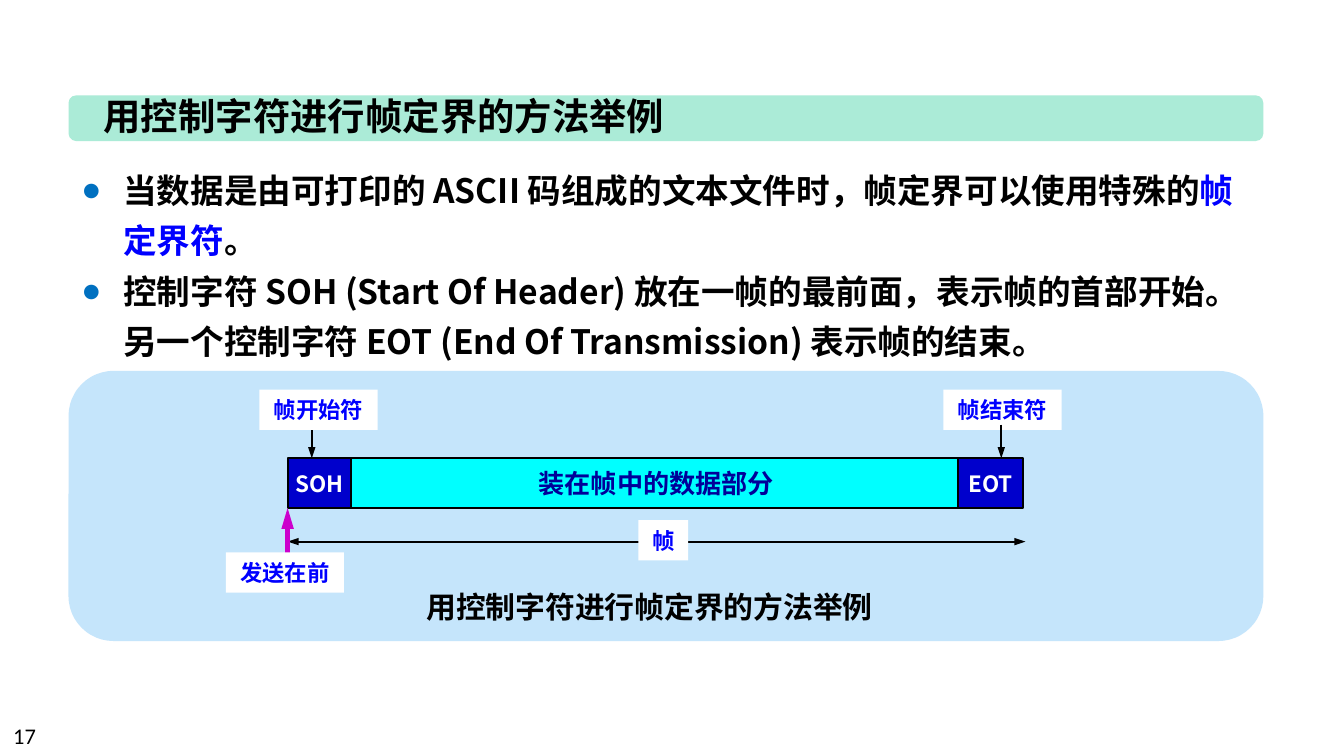
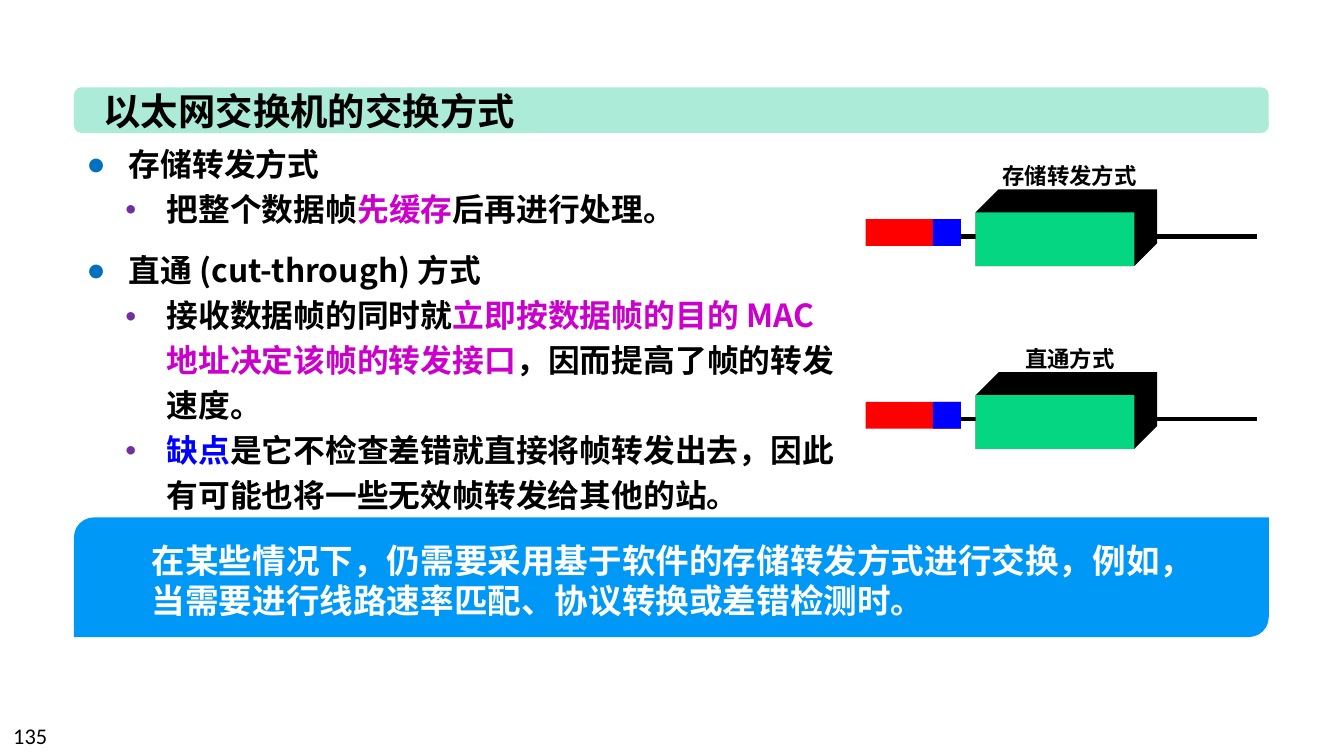
from lxml import etree
from pptx import Presentation
from pptx.dml.color import RGBColor
from pptx.enum.shapes import MSO_CONNECTOR, MSO_SHAPE
from pptx.enum.text import MSO_ANCHOR, PP_ALIGN
from pptx.oxml.ns import qn
from pptx.util import Inches, Pt

RECT = MSO_SHAPE.RECTANGLE
ROUND = MSO_SHAPE.ROUNDED_RECTANGLE
DIAG = MSO_SHAPE.ROUND_2_DIAG_RECTANGLE
LINE = MSO_CONNECTOR.STRAIGHT
TOP, MID = MSO_ANCHOR.TOP, MSO_ANCHOR.MIDDLE
LEFT, MIDDLE = PP_ALIGN.LEFT, PP_ALIGN.CENTER

HAN, LATIN = "Noto Sans CJK SC", "Calibri"
HEX = {
    "black": "000000", "white": "FFFFFF", "mint": "ABEBD7", "pale": "C5E5FB",
    "sky": "0098F6", "blue": "0000FF", "navy": "0000CC", "ink": "000099",
    "cyan": "00FFFF", "pink": "CC00CC", "red": "FF0000", "green": "04D682",
    "dot": "0070C0", "subdot": "7030A0",
}
PAGE = 10  # slide width, at 16:9
WIDE = 8.89  # width of bands and panels

# Bullet levels: character, colour, indent, size in percent
LEVELS = [("●", "dot", 0.31, 94), ("•", "subdot", 0.59, 75)]

# Slide 1 content: bullets are (level, runs), a run is (text, colour)
FRAME = {
    "title": "用控制字符进行帧定界的方法举例", "page": "17",
    "band": (0.51, 0.71), "head": (0.67, 0.64, 4.41, 0.44),
    "points": [
        (0, [("当数据是由可打印的 ASCII 码组成的文本文件时，帧定界可以使用特殊的", "black"),
             ("帧定界符", "blue"), ("。", "black")]),
        (0, [("控制字符 SOH (Start Of Header) 放在一帧的最前面，表示帧的首部开始。"
              "另一个控制字符 EOT (End Of Transmission) 表示帧的结束。", "black")]),
    ],
}
# Frame fields: text, left, width, fill, font colour, size
FIELDS = [
    ("装在帧中的数据部分", 2.5, 4.77, "cyan", "ink", 14),
    ("EOT", 7.13, 0.48, "navy", "white", 12),
    ("SOH", 2.14, 0.47, "navy", "white", 12),
]
# Arrows: start, end, colour, width, both ends, head width and length
ARROWS = [
    ((2.14, 4.03), (7.63, 4.03), "black", 1, True, ("sm", "med")),
    ((2.32, 3.16), (2.32, 3.41), "black", 1, False, ("sm", "med")),
    ((7.45, 3.16), (7.45, 3.41), "black", 1, False, ("sm", "med")),
    ((2.14, 4.15), (2.14, 3.78), "pink", 2.25, False, ("med", "lg")),
]
# Tags: text, left, top, width; the flag puts a tag below the arrows
TAGS = [
    ("帧", 4.75, 3.87, 0.37, False),
    ("帧开始符", 1.93, 2.9, 0.88, False),
    ("帧结束符", 7.02, 2.9, 0.88, True),
    ("发送在前", 1.68, 4.11, 0.88, False),
]

# Slide 2 content
SWITCH = {
    "title": "以太网交换机的交换方式", "page": "135",
    "band": (0.55, 0.65), "head": (0.67, 0.6, 3.29, 0.44),
    "store": [
        (0, [("存储转发方式", "black")]),
        (1, [("把整个数据帧", "black"), ("先缓存", "pink"),
             ("后再进行处理。", "black")]),
    ],
    "direct": [
        (0, [("直通 (cut-through) 方式", "black")]),
        (1, [("接收数据帧的同时就", "black"),
             ("立即按数据帧的目的 MAC 地址决定该帧的转发接口", "pink"),
             ("，因而提高了帧的转发速度。", "black")]),
        (1, [("缺点", "blue"),
             ("是它不检查差错就直接将帧转发出去，"
              "因此有可能也将一些无效帧转发给其他的站。", "black")]),
    ],
    "note": "在某些情况下，仍需要采用基于软件的存储转发方式进行交换，例如，"
            "当需要进行线路速率匹配、协议转换或差错检测时。",
}
# Devices: label, label box, top of the front face
UNITS = [
    ("存储转发方式", (7.36, 1.16, 1.21, 0.3), 1.58),
    ("直通方式", (7.53, 2.52, 0.88, 0.3), 2.94),
]
DEEP = 0.17  # depth of a device


def tint(name):
    return RGBColor.from_string(HEX[name])


def box_of(spot):
    return [Inches(v) for v in spot]


def add_run(para, text, size, color, face=HAN):
    run = para.add_run()
    run.text = text
    font = run.font
    font.size, font.bold, font.name = Pt(size), face == HAN, face
    font.color.rgb = tint(color)
    if face == HAN:
        east = etree.SubElement(run._r.get_or_add_rPr(), qn("a:ea"))
        east.set("typeface", HAN)


def write(shape, text, size, color, align=MIDDLE, wrap=False, face=HAN):
    frame = shape.text_frame
    frame.word_wrap = wrap
    frame.vertical_anchor = MID
    frame.margin_left = frame.margin_right = Inches(0.1)
    frame.margin_top = frame.margin_bottom = Inches(0.05)
    para = frame.paragraphs[0]
    para.alignment = align
    add_run(para, text, size, color, face)


def paint(shape, fill, edge=None):
    shape.shadow.inherit = False
    shape.fill.solid()
    shape.fill.fore_color.rgb = tint(fill)
    if edge:
        shape.line.color.rgb = tint(edge)
        shape.line.width = Pt(1)
    else:
        shape.line.fill.background()


def add_box(slide, spot, fill, kind=RECT, edge=None):
    shape = slide.shapes.add_shape(kind, *box_of(spot))
    paint(shape, fill, edge)
    return shape


def add_text(slide, spot, *args, **opts):
    write(slide.shapes.add_textbox(*box_of(spot)), *args, **opts)


def add_line(slide, start, end, color="black", width=2.25, ends=(), head=()):
    line = slide.shapes.add_connector(LINE, *box_of(start + end))
    line.line.color.rgb = tint(color)
    line.line.width = Pt(width)
    for name in ends:
        tip = etree.SubElement(line.line._get_or_add_ln(), qn(name))
        tip.set("type", "triangle")
        tip.set("w", head[0])
        tip.set("len", head[1])
    etree.SubElement(line.element.spPr, qn("a:effectLst"))


def add_bullet(para, level):
    mark, color, left, size = LEVELS[level]
    props = para._p.get_or_add_pPr()
    props.set("marL", str(Inches(left)))
    props.set("indent", str(-Inches(0.31)))
    hue = etree.SubElement(props, qn("a:buClr"))
    etree.SubElement(hue, qn("a:srgbClr")).set("val", HEX[color])
    etree.SubElement(props, qn("a:buSzPct")).set("val", str(size * 1000))
    etree.SubElement(props, qn("a:buFont")).set("typeface", LATIN)
    etree.SubElement(props, qn("a:buChar")).set("char", mark)


def add_points(slide, spot, points, size, pitch):
    frame = slide.shapes.add_textbox(*box_of(spot)).text_frame
    frame.word_wrap = True
    frame.vertical_anchor = TOP
    for i, (level, runs) in enumerate(points):
        para = frame.add_paragraph() if i else frame.paragraphs[0]
        add_bullet(para, level)
        para.line_spacing = Pt(pitch)
        for text, color in runs:
            add_run(para, text, size, color)


def start(deck, data):
    """Add a slide with its title band and page number."""
    slide = deck.slides.add_slide(deck.slide_layouts[5])
    title = slide.shapes.title
    band = add_box(slide, (*data["band"], WIDE, 0.34), "mint", ROUND)
    title.element.addprevious(band.element)
    title.left, title.top, title.width, title.height = box_of(data["head"])
    write(title, data["title"], 20, "black", LEFT)
    add_text(slide, (0, 5.32, 2.33, 0.3), data["page"], 12, "black", LEFT,
             True, LATIN)
    return slide


def add_tags(slide, below):
    for text, left, top, width, low in TAGS:
        if low == below:
            tag = add_box(slide, (left, top, width, 0.3), "white")
            write(tag, text, 12, "blue")


def add_frame(deck):
    slide = start(deck, FRAME)
    add_box(slide, (0.51, 2.76, WIDE, 2.01), "pale", ROUND)
    add_points(slide, (0.51, 1.14, WIDE, 1.62), FRAME["points"], 18, 27)
    # Frame fields
    for text, left, width, fill, color, size in FIELDS:
        cell = add_box(slide, (left, 3.41, width, 0.37), fill, edge="black")
        write(cell, text, size, color)
    # Tags and arrows
    add_tags(slide, True)
    for a, b, color, width, both, head in ARROWS:
        ends = ("a:headEnd", "a:tailEnd") if both else ("a:tailEnd",)
        add_line(slide, a, b, color, width, ends, head)
    add_tags(slide, False)
    add_text(slide, (2.86, 4.33, 3.95, 0.37), FRAME["title"], 16, "black",
             wrap=True)


def add_unit(slide, label, spot, top):
    """Draw a device with its cables, the frame coming in and a label."""
    left, width, height = 7.26, 1.18, 0.4
    right, base = left + width, top + height
    wire = top + 0.18
    add_line(slide, (6.62, wire), (7.45, wire))
    add_line(slide, (8.41, wire), (9.35, wire))
    # Dark top and side behind the front face
    edge = [(left, top), (left + DEEP, top - DEEP), (right + DEEP, top - DEEP),
            (right + DEEP, base - DEEP), (right, base), (left, base)]
    dots = [(Inches(x), Inches(y)) for x, y in edge]
    form = slide.shapes.build_freeform(*dots[0])
    form.add_line_segments(dots[1:], close=True)
    paint(form.convert_to_shape(), "black")
    add_box(slide, (left, top, width, height), "green")
    # Data frame with its header
    add_box(slide, (6.44, top + 0.05, 0.71, 0.2), "red")
    add_box(slide, (6.94, top + 0.05, 0.21, 0.2), "blue")
    add_text(slide, spot, label, 12, "black", LEFT)


def add_switch(deck):
    slide = start(deck, SWITCH)
    add_points(slide, (0.55, 0.98, 9.58, 0.77), SWITCH["store"], 17, 24)
    add_box(slide, (0.55, 3.85, WIDE, 0.89), "sky", DIAG)
    add_text(slide, (1.03, 3.96, 8.18, 0.71), SWITCH["note"], 18, "white",
             LEFT, True)
    add_points(slide, (0.55, 1.77, 5.89, 2.09), SWITCH["direct"], 17, 24)
    for unit in UNITS:
        add_unit(slide, *unit)


def main():
    deck = Presentation()
    deck.slide_width, deck.slide_height = Inches(PAGE), Inches(PAGE * 9 / 16)
    add_frame(deck)
    add_switch(deck)
    deck.save("out.pptx")


if __name__ == "__main__":
    main()
